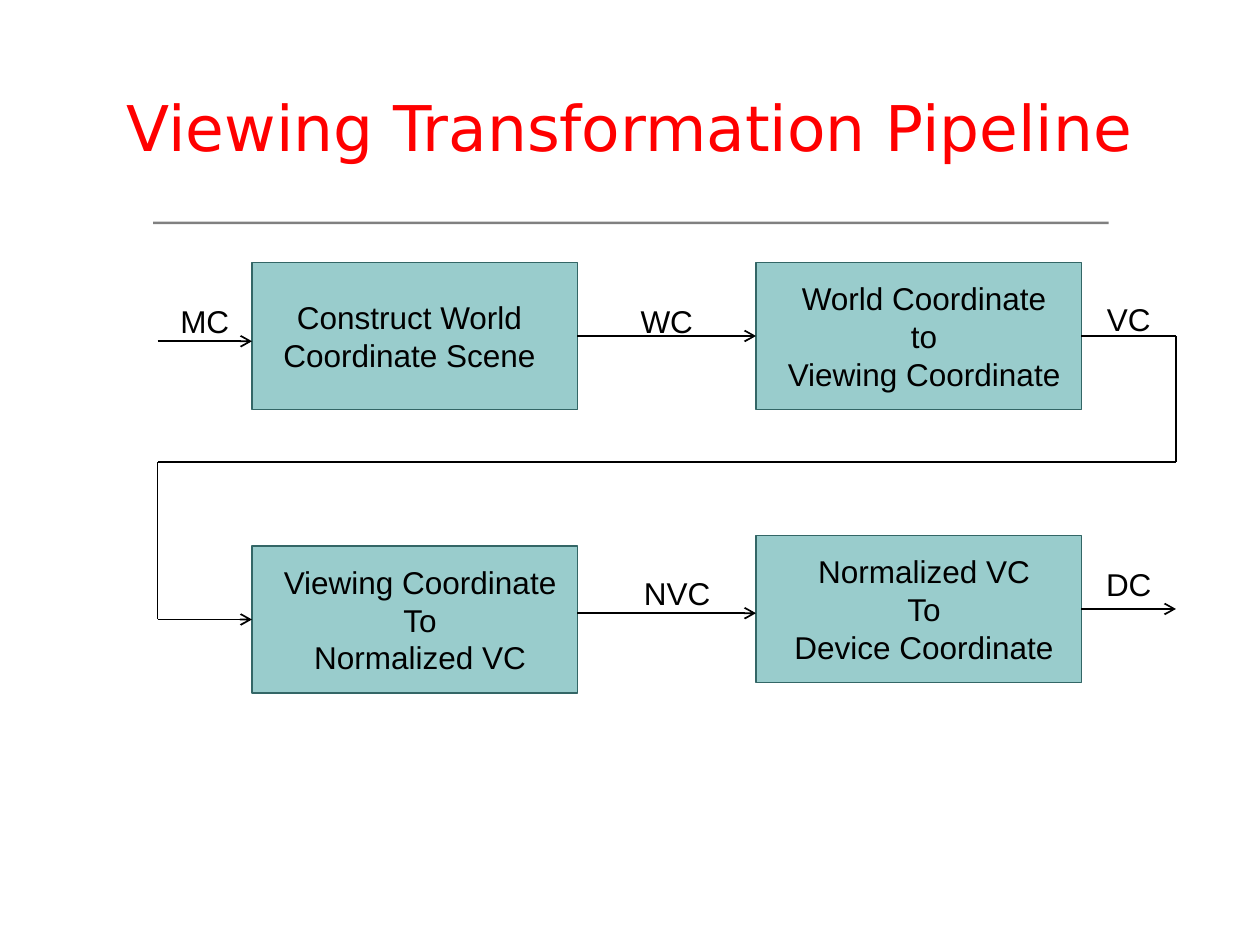
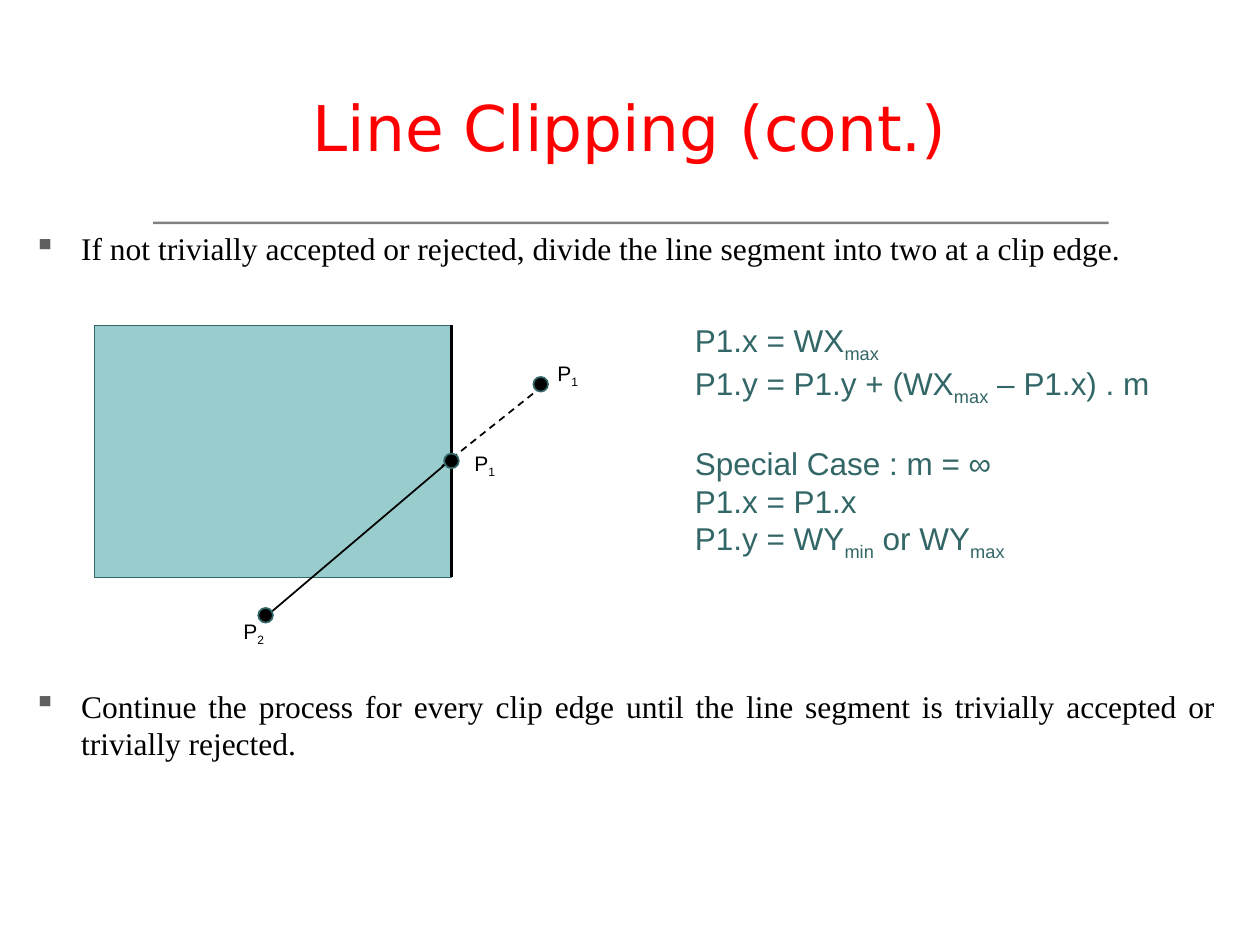
from lxml.etree import SubElement
from pptx import Presentation
from pptx.dml.color import RGBColor
from pptx.enum.dml import MSO_LINE
from pptx.enum.shapes import MSO_CONNECTOR, MSO_SHAPE
from pptx.enum.text import MSO_ANCHOR as Anchor, PP_ALIGN as Align
from pptx.oxml.ns import qn
from pptx.util import Inches, Pt

COLS, ROWS = 120, 90
TOP, LEFT, BOTTOM, RIGHT = range(4)
RED, BLACK, GRAY, MARK = "FF0000", "000000", "808080", "5F5F5F"
AQUA, TEAL = "99CCCC", "336666"
SANS, SERIF, HEAD = "Arial", "Times New Roman", "DejaVu Sans"


def rgb(code):
    return RGBColor.from_string(code)


class Deck:
    """Style and current slide; lengths count columns and rows of a 120 by 90 grid."""

    def __init__(self):
        self.prs = Presentation()
        self.prs.slide_width, self.prs.slide_height = Inches(10), Inches(7.5)
        self.shapes = None

    def x(self, cols):
        return round(self.prs.slide_width * cols / COLS)

    def y(self, rows):
        return round(self.prs.slide_height * rows / ROWS)

    def area(self, x, y, w, h):
        return self.x(x), self.y(y), self.x(w), self.y(h)

    def slide(self, title):
        blank = self.prs.slide_layouts[6]
        self.shapes = self.prs.slides.add_slide(blank).shapes
        self.shape(14.6, 21.1, 91, 0.25, GRAY, None)
        head = self.text(0, 6, 120, 12, [title], 36, RED, HEAD, Align.CENTER)
        head.text_frame.vertical_anchor = Anchor.MIDDLE

    def shape(self, x, y, w, h, fill, edge=TEAL, kind=MSO_SHAPE.RECTANGLE):
        item = self.shapes.add_shape(kind, *self.area(x, y, w, h))
        item.shadow.inherit = False
        item.fill.solid()
        item.fill.fore_color.rgb = rgb(fill)
        if edge:
            item.line.color.rgb = rgb(edge)
            item.line.width = Pt(1)
        else:
            item.line.fill.background()
        return item

    def put(self, frame, lines, size, color, face, align):
        """Fill a frame, one paragraph a line; text between underscores is lowered."""
        for i, line in enumerate(lines):
            par = frame.paragraphs[0] if i == 0 else frame.add_paragraph()
            for j, part in enumerate(line.split("_")):
                if part:
                    run = par.add_run()
                    run.text = part
                    if j % 2:
                        run._r.get_or_add_rPr().set("baseline", "-25000")
            par.alignment = align
            font = par.font
            font.size, font.name, font.color.rgb = Pt(size), face, rgb(color)

    def text(self, x, y, w, h, lines, size=18, color=BLACK, face=SANS,
             align=Align.LEFT, wrap=True):
        item = self.shapes.add_textbox(*self.area(x, y, w, h))
        item.text_frame.word_wrap = wrap
        self.put(item.text_frame, lines, size, color, face, align)
        return item

    def label(self, x, y, name):
        self.text(x, y, 9, 4.8, [name], align=Align.CENTER, wrap=False)

    def box(self, x, y, lines, right=1.2):
        """Draw a pipeline stage with its caption."""
        item = self.shape(x, y, 31, 14, AQUA)
        frame = item.text_frame
        frame.word_wrap = True
        frame.vertical_anchor = Anchor.MIDDLE
        frame.margin_left, frame.margin_right = self.x(2.2), self.x(right)
        self.put(frame, lines, 18, BLACK, SANS, Align.CENTER)
        return item

    def dot(self, x, y):
        self.shape(x - 0.7, y - 0.7, 1.4, 1.4, BLACK, kind=MSO_SHAPE.OVAL)

    def line(self, start, end, width=1, arrow=False, dash=False, tie=None, to=None):
        """Join two points; tie and to are (shape, side) pairs to glue the ends to."""
        item = self.shapes.add_connector(
            MSO_CONNECTOR.STRAIGHT, self.x(start[0]), self.y(start[1]),
            self.x(end[0]), self.y(end[1]))
        item.line.color.rgb = rgb(BLACK)
        item.line.width = Pt(width)
        if dash:
            item.line.dash_style = MSO_LINE.DASH
        if arrow:
            SubElement(item.get_or_add_ln(), qn("a:tailEnd"), type="arrow")
        SubElement(item._element.spPr, qn("a:effectLst"))
        if tie:
            item.begin_connect(*tie)
        if to:
            item.end_connect(*to)

    def bullets(self, x, y, w, h, lines, gap):
        item = self.text(x, y, w, h, lines, face=SERIF, align=Align.JUSTIFY)
        for i, par in enumerate(item.text_frame.paragraphs):
            props = par._p.get_or_add_pPr()
            font = props.find(qn("a:defRPr"))
            indent = Inches(0.38)
            props.set("marL", str(indent))
            props.set("indent", str(-indent))
            tint = SubElement(props, qn("a:buClr"))
            SubElement(tint, qn("a:srgbClr"), val=MARK)
            SubElement(props, qn("a:buChar"), char="▪")
            props.append(font)
            if i:
                par.space_before = Pt(gap)


def pipeline(deck):
    deck.slide("Viewing Transformation Pipeline")
    scene = deck.box(24, 25, ["Construct World Coordinate Scene"], right=3.2)
    view = deck.box(72, 25, ["World Coordinate", "to", "Viewing Coordinate"])
    norm = deck.box(24, 52, ["Viewing Coordinate", "To", "Normalized VC"])
    device = deck.box(72, 51, ["Normalized VC", "To", "Device Coordinate"])

    deck.line((15, 32.5), (24, 32.5), arrow=True)
    deck.line((55, 32), (72, 32), arrow=True, tie=(scene, RIGHT), to=(view, LEFT))
    deck.line((55, 58.4), (72, 58.4), arrow=True)
    deck.line((103, 58), (112, 58), arrow=True, tie=(device, RIGHT))

    deck.line((103, 32), (112, 32), tie=(view, RIGHT))
    turns = [(112, 32), (112, 44), (15, 44), (15, 59)]
    for start, end in zip(turns, turns[1:]):
        deck.line(start, end)
    deck.line((15, 59), (24, 59), arrow=True, to=(norm, LEFT))

    for x, y, name in [(15, 28.2, "MC"), (59, 28.2, "WC"), (103, 28, "VC"),
                       (60, 54.1, "NVC"), (103, 53.2, "DC")]:
        deck.label(x, y, name)


def clipping(deck):
    deck.slide("Line Clipping (cont.)")
    deck.bullets(2, 21.2, 115, 62, [
        "If not trivially accepted or rejected, divide the line segment "
        "into two at a clip edge.",
        "Continue the process for every clip edge until the line segment "
        "is trivially accepted or trivially rejected."], gap=240)

    deck.shape(9, 31, 34, 24, AQUA)
    deck.line((43, 31), (43, 55), width=2)
    deck.line((25, 59), (43.5, 43.3))
    deck.line((42.1, 44.4), (51, 37.3), dash=True)
    for x, y in [(51.5, 36.6), (25.3, 58.6), (43, 43.9)]:
        deck.dot(x, y)
    for x, y, name in [(51.9, 33.7, "P_1_"), (22, 58.3, "P_2_"), (44, 42.3, "P_1_")]:
        deck.text(x, y, 5, 4, [name], size=12)

    rules = deck.text(65, 30, 50, 31.5, [
        "P1.x = WX_max_",
        "P1.y = P1.y + (WX_max_ – P1.x) . m",
        "Special Case : m = ∞",
        "P1.x = P1.x",
        "P1.y = WY_min_ or WY_max_"], color=TEAL)
    rules.text_frame.paragraphs[2].space_before = Pt(21)


def main():
    deck = Deck()
    pipeline(deck)
    clipping(deck)
    deck.prs.save("out.pptx")


if __name__ == "__main__":
    main()
